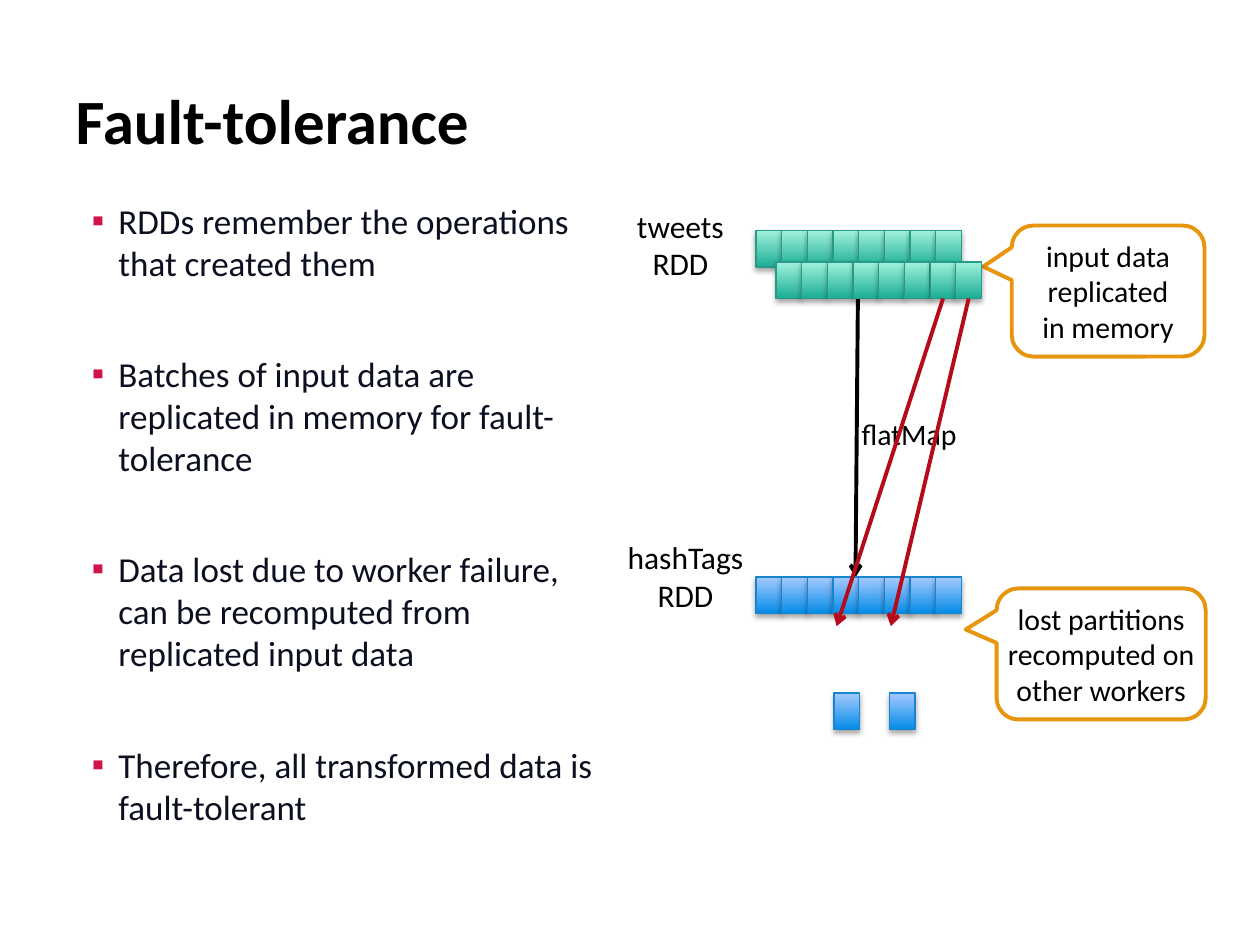
from lxml import etree
from pptx import Presentation
from pptx.dml.color import RGBColor
from pptx.enum.shapes import MSO_CONNECTOR, MSO_SHAPE
from pptx.enum.text import MSO_ANCHOR, MSO_AUTO_SIZE, PP_ALIGN
from pptx.oxml.ns import qn
from pptx.util import Inches, Pt

RECTANGLE = MSO_SHAPE.RECTANGLE
CALLOUT = MSO_SHAPE.ROUNDED_RECTANGULAR_CALLOUT
STRAIGHT = MSO_CONNECTOR.STRAIGHT
TOP, MIDDLE = MSO_ANCHOR.TOP, MSO_ANCHOR.MIDDLE
LEFT, CENTER = PP_ALIGN.LEFT, PP_ALIGN.CENTER
NO_AUTOFIT = MSO_AUTO_SIZE.NONE

FONT = "Calibri"
BLACK, WHITE = "000000", "FFFFFF"
RED, ORANGE = "B50B1B", "E8950E"
BODY_TEXT, BULLET = "0C0F20", "D11349"
GREEN = ("1BAD94", "A1F2DD", "289B88")
BLUE = ("038BE7", "A6CAFF", "1884CD")

PARTITIONS = 8
PARTITION_WIDTH = 1.63 / PARTITIONS
PARTITION_HEIGHT = 0.29

POINTS = [
    "RDDs remember the operations that created them",
    "Batches of input data are replicated in memory for fault-tolerance",
    "Data lost due to worker failure, can be recomputed from replicated input data",
    "Therefore, all transformed data is fault-tolerant",
]


def rgb(value):
    return RGBColor.from_string(value)


def add_element(parent, tag, **attributes):
    return etree.SubElement(parent, qn(tag), **attributes)


def place(shape, left, top, width, height):
    shape.left, shape.top = Inches(left), Inches(top)
    shape.width, shape.height = Inches(width), Inches(height)


def set_frame(frame, side, end, anchor):
    frame.word_wrap = True
    frame.auto_size = NO_AUTOFIT
    frame.margin_left = frame.margin_right = Inches(side)
    frame.margin_top = frame.margin_bottom = Inches(end)
    frame.vertical_anchor = anchor


def write_lines(frame, lines, size, color=BLACK, align=CENTER, bold=False):
    for index, line in enumerate(lines):
        paragraph = frame.add_paragraph() if index else frame.paragraphs[0]
        paragraph.alignment = align
        run = paragraph.add_run()
        run.text = line
        run.font.name = FONT
        run.font.size = Pt(size)
        run.font.bold = bold
        run.font.color.rgb = rgb(color)


def add_bullet(paragraph):
    properties = paragraph._p.get_or_add_pPr()
    properties.set("marL", str(Inches(0.36)))
    properties.set("indent", str(Inches(-0.21)))
    bullet_color = add_element(properties, "a:buClr")
    add_element(bullet_color, "a:srgbClr", val=BULLET)
    add_element(properties, "a:buFont", typeface=FONT)
    add_element(properties, "a:buChar", char="▪")


def fill_title(title):
    place(title, 0.58, 0.51, 8.79, 0.87)
    set_frame(title.text_frame, 0.02, 0.02, MIDDLE)
    write_lines(title.text_frame, ["Fault-tolerance"], 36, align=LEFT, bold=True)


def fill_points(body):
    place(body, 0.58, 1.58, 4.17, 5.33)
    set_frame(body.text_frame, 0, 0, TOP)
    write_lines(body.text_frame, POINTS, 20, BODY_TEXT, LEFT)
    for index, paragraph in enumerate(body.text_frame.paragraphs):
        add_bullet(paragraph)
        paragraph.space_before = Pt(39.6 if index else 0)


def add_label(slide, box, lines, size):
    label = slide.shapes.add_textbox(*map(Inches, box))
    set_frame(label.text_frame, 0.04, 0.02, TOP)
    write_lines(label.text_frame, lines, size)


def add_callout(slide, box, lines):
    callout = slide.shapes.add_shape(CALLOUT, *map(Inches, box))
    callout.shadow.inherit = False
    for index, value in enumerate((-0.648, -0.186, 0.167)):
        callout.adjustments[index] = value
    callout.fill.solid()
    callout.fill.fore_color.rgb = rgb(WHITE)
    callout.line.color.rgb = rgb(ORANGE)
    callout.line.width = Pt(2.25)
    set_frame(callout.text_frame, 0, 0.02, MIDDLE)
    write_lines(callout.text_frame, lines, 17)


def add_shadow(shape):
    shape.shadow.inherit = False
    effects = shape._element.spPr.find(qn("a:effectLst"))
    shadow = add_element(effects, "a:outerShdw", blurRad=str(Pt(3.1)),
                         dist=str(Pt(1.8)), dir="5400000", rotWithShape="0")
    shade = add_element(shadow, "a:srgbClr", val=BLACK)
    add_element(shade, "a:alpha", val="35000")


def add_partition(slide, left, top, palette):
    dark, light, outline = palette
    partition = slide.shapes.add_shape(
        RECTANGLE, Inches(left), Inches(top),
        Inches(PARTITION_WIDTH), Inches(PARTITION_HEIGHT))
    partition.fill.gradient()
    partition.fill.gradient_angle = 90
    for stop, color in zip(partition.fill.gradient_stops, (dark, light)):
        stop.color.rgb = rgb(color)
    partition.line.color.rgb = rgb(outline)
    partition.line.width = Pt(0.75)
    add_shadow(partition)
    return partition


def add_rdd(slide, left, top, palette):
    return [add_partition(slide, left + index * PARTITION_WIDTH, top, palette)
            for index in range(PARTITIONS)]


def add_arrow(slide, start, end, color):
    arrow = slide.shapes.add_connector(STRAIGHT, *map(Inches, (*start, *end)))
    arrow.line.color.rgb = rgb(color)
    arrow.line.width = Pt(2.25)
    add_element(arrow.line._get_or_add_ln(), "a:tailEnd", type="arrow")
    add_element(arrow._element.spPr, "a:effectLst")
    return arrow


def main():
    presentation = Presentation()
    presentation.slide_width, presentation.slide_height = Inches(10), Inches(7.5)
    slide = presentation.slides.add_slide(presentation.slide_layouts[1])
    fill_title(slide.shapes.title)
    fill_points(slide.placeholders[1])

    add_callout(slide, (8.03, 1.79, 1.53, 1.04), ["input data replicated", "in memory"])
    add_label(slide, (6.47, 3.28, 1.49, 0.33), ["flatMap"], 17)
    add_arrow(slide, (6.81, 2.23), (6.79, 4.58), BLACK)

    add_rdd(slide, 6, 1.83, GREEN)
    for left in (6.62, 7.06):
        add_partition(slide, left, 5.5, BLUE)
    replica = add_rdd(slide, 6.16, 2.08, GREEN)
    add_rdd(slide, 6, 4.58, BLUE)

    for source, start, end in zip(replica[-2:], (7.48, 7.68), (6.64, 7.07)):
        recomputation = add_arrow(slide, (start, 2.38), (end, 4.97), RED)
        recomputation.begin_connect(source, 2)

    add_callout(slide, (7.91, 4.67, 1.66, 1.04),
                ["lost partitions recomputed on other workers"])
    add_label(slide, (4.84, 1.62, 1.12, 0.65), ["tweets", "RDD"], 18)
    add_label(slide, (4.88, 4.25, 1.12, 0.65), ["hashTags", "RDD"], 18)
    presentation.save("out.pptx")


if __name__ == "__main__":
    main()
